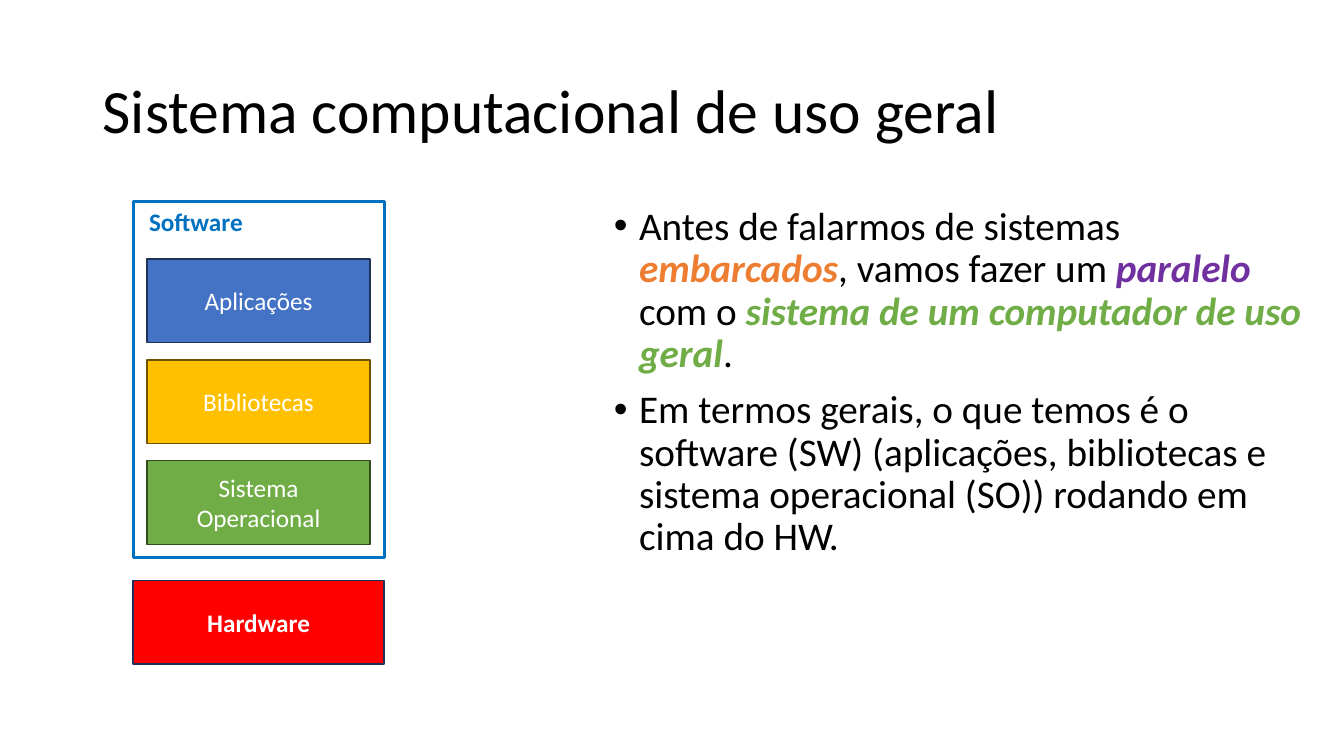
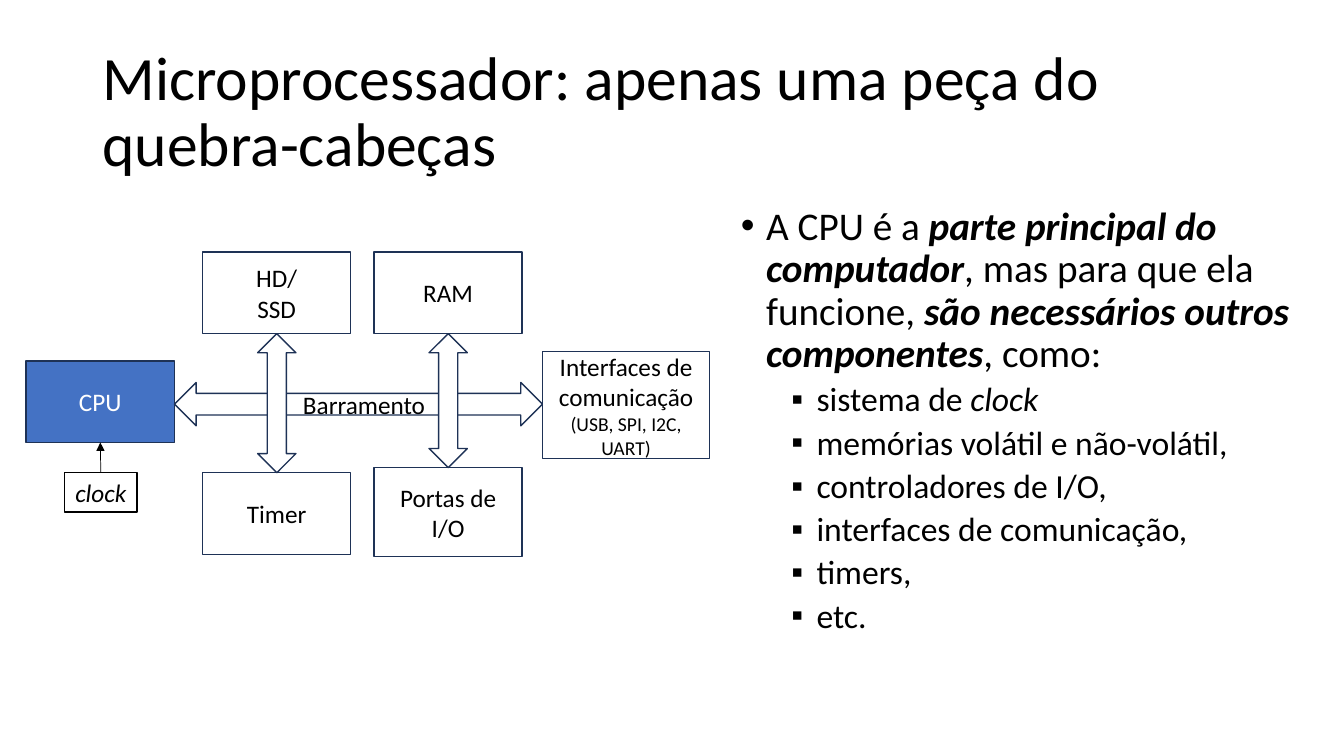
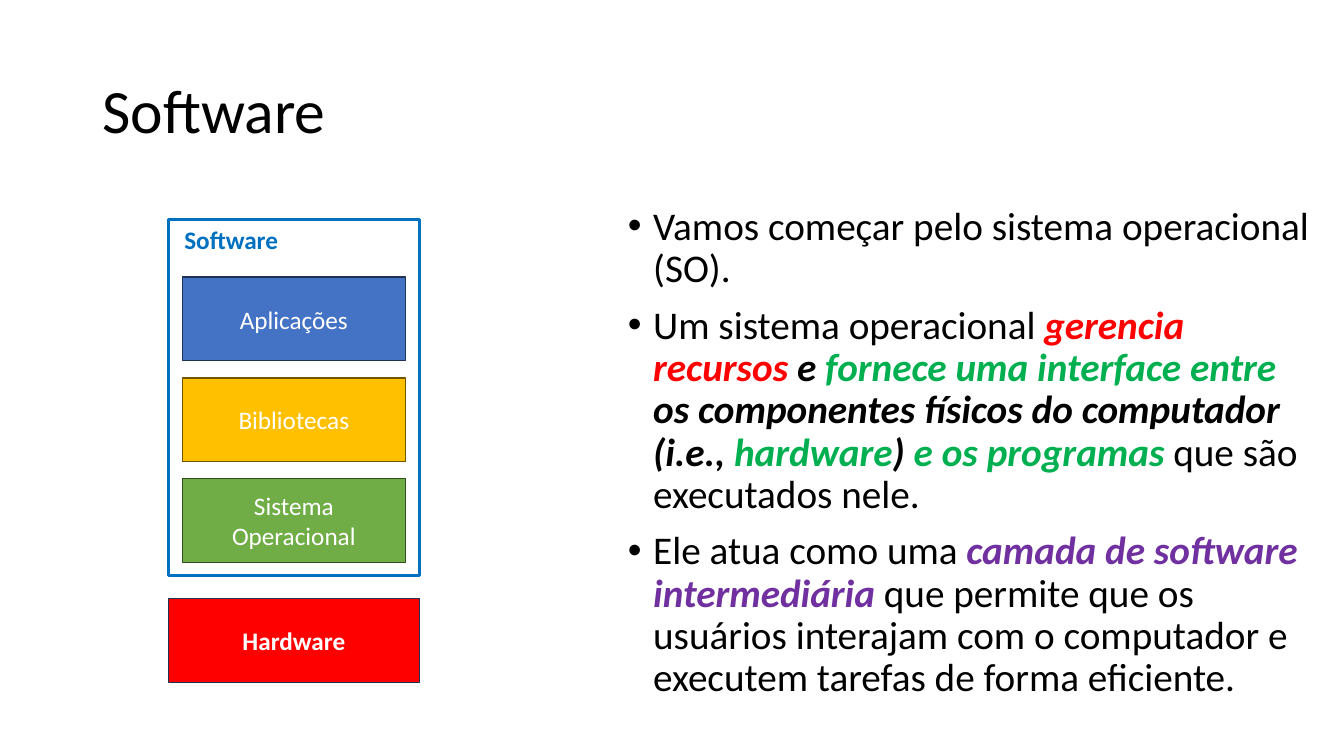
from lxml import etree
from pptx import Presentation
from pptx.dml.color import RGBColor
from pptx.enum.shapes import MSO_CONNECTOR, MSO_SHAPE
from pptx.enum.text import MSO_ANCHOR as ANCHOR, PP_ALIGN as ALIGN
from pptx.oxml.ns import qn
from pptx.util import Pt

PX = 9144  # EMU per px, 100 px to the inch
FONT = "Calibri"
BLACK, WHITE, NAVY = "000000", "FFFFFF", "1E3256"
BLUE, GOLD, GREEN, RED = "4472C4", "FFC000", "70AD47", "FF0000"
ORANGE, PURPLE, EMERALD, SKY = "ED7D31", "7030A0", "00B050", "0070C0"

TITLE_AREA = (92, 40, 1150, 145)
BODY_TOP, BODY_HEIGHT = 200, 550
LEVELS = [  # bullet, text size, indent px, space before
    dict(bullet="•", size=28, indent=25, before=10),
    dict(bullet="▪", size=24, indent=75, before=5),
]


def strong(text, color=BLACK):
    return text, dict(bold=True, italic=True, color=color)


def italic(text):
    return text, dict(italic=True)


# Body items are (level, spans); a span is plain text or (text, format).
GENERAL_TITLE = "Sistema computacional de uso geral"
GENERAL_BODY = [
    (0, ["Antes de falarmos de sistemas ", strong("embarcados", ORANGE),
         ", vamos fazer um ", strong("paralelo", PURPLE), " com o ",
         strong("sistema de um computador de uso geral", GREEN), "."]),
    (0, ["Em termos gerais, o que temos é o software (SW) (aplicações, "
         "bibliotecas e sistema operacional (SO)) rodando em cima do HW."]),
]
CPU_TITLE = "Microprocessador: apenas uma peça do quebra-cabeças"
CPU_BODY = [
    (0, ["A CPU é a ", strong("parte principal do computador"),
         ", mas para que ela funcione, ",
         strong("são necessários outros componentes"), ", como:"]),
    (1, ["sistema de ", italic("clock")]),
    (1, ["memórias volátil e não-volátil,"]),
    (1, ["controladores de I/O,"]),
    (1, ["interfaces de comunicação,"]),
    (1, ["timers,"]),
    (1, ["etc."]),
]
SOFTWARE_TITLE = "Software"
SOFTWARE_BODY = [
    (0, ["Vamos começar pelo sistema operacional (SO)."]),
    (0, ["Um sistema operacional ", strong("gerencia recursos", RED),
         strong(" e "), strong("fornece uma interface entre ", EMERALD),
         strong("os componentes físicos do computador (i.e., "),
         strong("hardware", EMERALD), strong(") "),
         strong("e os programas ", EMERALD), "que são executados nele."]),
    (0, ["Ele atua como uma ",
         strong("camada de software intermediária ", PURPLE),
         "que permite que os usuários interajam com o computador e "
         "executem tarefas de forma eficiente."]),
]
SOFTWARE_LAYERS = [  # name, fill, line
    ("Aplicações", BLUE, NAVY),
    ("Bibliotecas", GOLD, "705400"),
    ("Sistema Operacional", GREEN, "314C1F"),
]
CPU_AREA = (26, 358, 147, 81)
CLOCK_AREA = (64, 469, 72, 39)
INTERFACES_AREA = (538, 349, 166, 106)
INTERFACES_TEXT = [["Interfaces de comunicação"],
                   [("(USB, SPI, I2C, UART)", dict(size=14))]]
PERIPHERAL_TOP, PERIPHERAL_WIDTH, PERIPHERAL_HEIGHT = 250, 147, 81
PERIPHERALS = [  # left, upper text, lower text, lower top, lower height
    (201, [["HD/"], ["SSD"]], [["Timer"]], 469, 81),
    (371, [["RAM"]], [["Portas de I/O"]], 464, 88),
]
BUS_HEIGHT, BUS_MIDDLE, BRANCH_WIDTH = 43, 401, 38


def emu(*lengths):
    return [round(length * PX) for length in lengths]


def rgb(color):
    return RGBColor.from_string(color)


def write(para, spans, size=18, color=BLACK, bold=False, italic=False):
    base = dict(size=size, color=color, bold=bold, italic=italic)
    for item in spans:
        text, own = (item, {}) if isinstance(item, str) else item
        style = {**base, **own}
        span = para.add_run()
        span.text = text
        span.font.name = FONT
        span.font.size = Pt(style["size"])
        span.font.bold = style["bold"]
        span.font.italic = style["italic"]
        span.font.color.rgb = rgb(style["color"])


def paragraphs(frame, count):
    return [frame.paragraphs[0]] + [frame.add_paragraph() for _ in range(count - 1)]


def add_text(page, area, anchor=ANCHOR.TOP):
    frame = page.shapes.add_textbox(*emu(*area)).text_frame
    frame.word_wrap = True
    frame.vertical_anchor = anchor
    return frame


def add_shape(page, area, content=(), kind=MSO_SHAPE.RECTANGLE, fill=None,
              line=NAVY, width=1, **style):
    """Draw an outlined shape with centred paragraphs, each a list of spans."""
    shape = page.shapes.add_shape(kind, *emu(*area))
    shape.shadow.inherit = False
    if fill:
        shape.fill.solid()
        shape.fill.fore_color.rgb = rgb(fill)
    else:
        shape.fill.background()
    shape.line.color.rgb = rgb(line)
    shape.line.width = Pt(width)
    frame = shape.text_frame
    frame.word_wrap = True
    frame.vertical_anchor = ANCHOR.MIDDLE
    for para, spans in zip(paragraphs(frame, len(content)), content):
        para.alignment = ALIGN.CENTER
        write(para, spans, **style)
    return shape


def add_bullet(para, bullet, indent):
    properties = para._p.get_or_add_pPr()
    left, hanging = emu(indent, -25)
    properties.set("marL", str(left))
    properties.set("indent", str(hanging))
    etree.SubElement(properties, qn("a:buFont")).set("typeface", "Arial")
    etree.SubElement(properties, qn("a:buChar")).set("char", bullet)


def add_page(deck, title, body, left, width):
    page = deck.slides.add_slide(deck.slide_layouts[6])
    heading = add_text(page, TITLE_AREA, ANCHOR.MIDDLE).paragraphs[0]
    heading.line_spacing = 0.9
    write(heading, [title], size=44)
    frame = add_text(page, (left, BODY_TOP, width, BODY_HEIGHT))
    for index, (para, (depth, spans)) in enumerate(
            zip(paragraphs(frame, len(body)), body)):
        level = LEVELS[depth]
        para.level = depth
        add_bullet(para, level["bullet"], level["indent"])
        para.line_spacing = 0.9
        if index:
            para.space_before = Pt(level["before"])
        write(para, spans, size=level["size"])
    return page


def add_stack(page, left, top):
    """Draw the software layers in their frame, above the hardware."""
    for index, (name, fill, line) in enumerate(SOFTWARE_LAYERS):
        add_shape(page, (left + 14, top + 57 + 100 * index, 221, 83), [[name]],
                  fill=fill, line=line, color=WHITE)
    add_shape(page, (left, top + 376, 249, 83), [["Hardware"]],
              fill=RED, color=WHITE, bold=True)
    label = add_text(page, (left + 6, top, 142, 40))
    write(label.paragraphs[0], ["Software"], color=SKY, bold=True)
    add_shape(page, (left, top, 249, 353), line=SKY, width=2.25)


def add_arrow_line(page, start, end):
    """Join the top of one box to the bottom of another."""
    arrow = page.shapes.add_connector(MSO_CONNECTOR.STRAIGHT, 0, 0, 0, 0)
    arrow.begin_connect(start, 0)
    arrow.end_connect(end, 2)
    arrow.line.color.rgb = rgb(BLACK)
    arrow.line.width = Pt(0.5)
    etree.SubElement(arrow.line._get_or_add_ln(), qn("a:tailEnd")).set("type", "triangle")
    etree.SubElement(arrow._element.spPr, qn("a:effectLst"))


def add_computer(page):
    """Draw the CPU, its peripherals and the bus between them."""
    cpu = add_shape(page, CPU_AREA, [["CPU"]], fill=BLUE, color=WHITE)
    add_shape(page, INTERFACES_AREA, INTERFACES_TEXT)
    bus_left = CPU_AREA[0] + CPU_AREA[2]
    bus = add_shape(page, (bus_left, BUS_MIDDLE - BUS_HEIGHT / 2,
                           INTERFACES_AREA[0] - bus_left, BUS_HEIGHT),
                    [["Barramento"]], MSO_SHAPE.LEFT_RIGHT_ARROW, fill=WHITE)
    bus.text_frame.margin_left = emu(21)[0]
    for left, upper, lower, lower_top, lower_height in PERIPHERALS:
        add_shape(page, (left, PERIPHERAL_TOP, PERIPHERAL_WIDTH, PERIPHERAL_HEIGHT), upper)
        add_shape(page, (left, lower_top, PERIPHERAL_WIDTH, lower_height), lower)
        upper_bottom = PERIPHERAL_TOP + PERIPHERAL_HEIGHT
        length = lower_top - upper_bottom
        center, middle = left + PERIPHERAL_WIDTH / 2, (upper_bottom + lower_top) / 2
        branch = add_shape(page, (center - length / 2, middle - BRANCH_WIDTH / 2,
                                  length, BRANCH_WIDTH),
                           kind=MSO_SHAPE.LEFT_RIGHT_ARROW, fill=WHITE)
        branch.rotation = 90
    clock = add_shape(page, CLOCK_AREA, [["clock"]], line=BLACK, italic=True)
    add_arrow_line(page, clock, cpu)


def main():
    deck = Presentation()
    deck.slide_width, deck.slide_height = emu(1333, 750)
    add_stack(add_page(deck, GENERAL_TITLE, GENERAL_BODY, 599, 718), 132, 200)
    add_computer(add_page(deck, CPU_TITLE, CPU_BODY, 725, 599))
    add_stack(add_page(deck, SOFTWARE_TITLE, SOFTWARE_BODY, 613, 695), 167, 218)
    deck.save("out.pptx")


if __name__ == "__main__":
    main()
